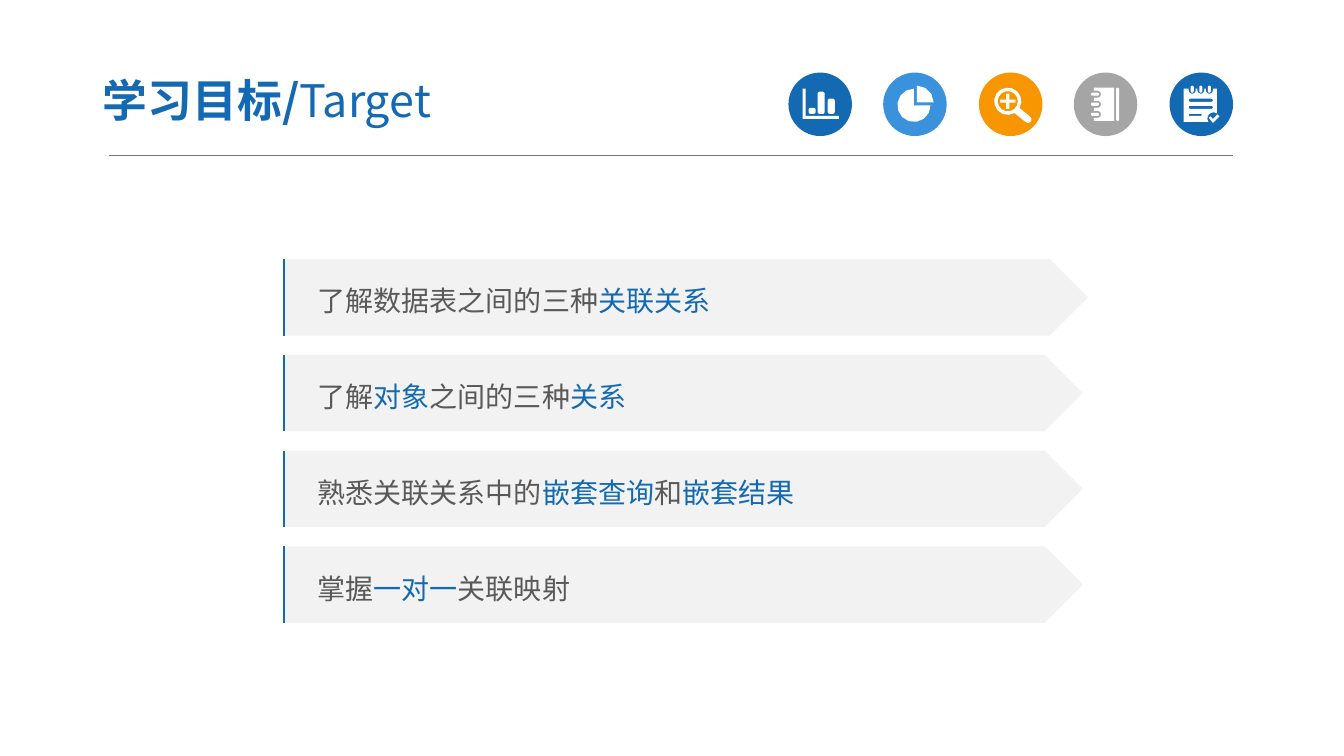
from math import cos, radians, sin

from lxml.etree import SubElement
from pptx import Presentation
from pptx.dml.color import RGBColor
from pptx.enum.shapes import MSO_CONNECTOR, MSO_SHAPE
from pptx.enum.text import MSO_ANCHOR, MSO_AUTO_SIZE, PP_ALIGN
from pptx.oxml.ns import qn
from pptx.util import Pt

PX = 9144
FONT = "Noto Sans CJK SC"
BLUE = RGBColor(0x13, 0x69, 0xB2)
SKY = RGBColor(0x39, 0x92, 0xDB)
ORANGE = RGBColor(0xF7, 0x96, 0x00)
SILVER = RGBColor(0xA5, 0xA5, 0xA5)
PALE = RGBColor(0xF2, 0xF2, 0xF2)
TEXT = RGBColor(0x59, 0x59, 0x59)
RULE = RGBColor(0x76, 0x76, 0x76)
WHITE = RGBColor(0xFF, 0xFF, 0xFF)


def arc(cx, cy, r, start, end):
    n = max(2, abs(end - start) // 25)
    angles = [radians(start + (end - start) * i / n) for i in range(n + 1)]
    return [(cx + r * cos(a), cy + r * sin(a)) for a in angles]


def pill(x, y, w, h):
    r = min(w, h, 4) / 2
    return (arc(x + r, y + r, r, 180, 270) + arc(x + w - r, y + r, r, 270, 360)
            + arc(x + w - r, y + h - r, r, 0, 90) + arc(x + r, y + h - r, r, 90, 180))


prs = Presentation()
prs.slide_width, prs.slide_height = 1333 * PX, 750 * PX
s = prs.slides.add_slide(prs.slide_layouts[5])
fills = []
texts = []

title = s.shapes.title
title.left, title.top, title.width, title.height = 89 * PX, 63 * PX, 522 * PX, 72 * PX
tf = title.text_frame
tf.auto_size = MSO_AUTO_SIZE.NONE
tf.vertical_anchor = MSO_ANCHOR.MIDDLE
tf.margin_left = tf.margin_right = 13 * PX
tf.margin_top = tf.margin_bottom = 7 * PX
texts.append((tf.paragraphs[0], 32, [("学习目标/", BLUE, True), ("Target", BLUE, False)]))

c = s.shapes.add_connector(MSO_CONNECTOR.STRAIGHT, 108 * PX, 154 * PX, 1223 * PX, 154 * PX)
c.line.color.rgb = RULE
c.line.width = Pt(0.5)
SubElement(c._element.spPr, qn("a:effectLst"))

bar_chart = [
    [(14, 16), (17, 16), (17, 43), (50, 43), (50, 46), (14, 46)],
    pill(20, 35, 7, 6), pill(29, 19, 7, 22), pill(39, 26, 7, 15),
]
pie_chart = [
    arc(30.5, 32.5, 16.5, 0, 270) + [(30.5, 32.5)],
    arc(33.5, 29.5, 16.5, -90, 0) + [(33.5, 29.5)],
]
magnifier = [
    arc(28.5, 28.5, 13.5, 60, 390) + arc(48.5, 46.5, 3.5, -45, 135),
    arc(28.5, 28.5, 10, 0, 360),
    [(27, 21), (30, 21), (30, 27), (36, 27), (36, 30), (30, 30),
     (30, 36), (27, 36), (27, 30), (21, 30), (21, 27), (27, 27)],
]
cover = [(20, 15), (40, 15), (40, 48), (20, 48)]
notebook = [cover, pill(42, 15, 3, 33)]
for y in (41.5, 31.5, 21.5):
    cover += [(20, y + 3.5)] + arc(23.5, y, 3.5, 90, -90) + [(20, y - 3.5)]
    notebook.append(pill(17, y - 1.5, 8, 3))
page = [(14, 16)]
notepad = [page, pill(19, 26, 24, 3), pill(19, 33, 24, 3), pill(19, 41, 13, 2)]
for x in (22.5, 31, 39.5):
    page += [(x - 3.5, 16)] + arc(x, 17.5, 3.5, 180, 0) + [(x + 3.5, 16)]
    notepad.append(pill(x - 1.5, 13, 3, 7))
page += [(47, 16)] + arc(43.5, 45.5, 6, -55, -215) + [(14, 49)]
notepad.append([(39, 45), (40.5, 43.5), (43, 46), (47.5, 41.5), (49.5, 43.5), (43, 50)])

icons = [(BLUE, bar_chart), (SKY, pie_chart), (ORANGE, magnifier),
         (SILVER, notebook), (BLUE, notepad)]
for i, (color, contours) in enumerate(icons):
    left = 782 + 189 * i // 2
    disc = s.shapes.add_shape(MSO_SHAPE.OVAL, left * PX, 72 * PX, 63 * PX, 63 * PX)
    fills.append((disc, color))
    fb = s.shapes.build_freeform()
    for n, contour in enumerate(contours):
        points = [((left + x) * PX, (72 + y) * PX) for x, y in contour]
        if n == 0:
            fb = s.shapes.build_freeform(*points[0])
        else:
            fb.move_to(*points[0])
        fb.add_line_segments(points[1:], close=True)
    fills.append((fb.convert_to_shape(), WHITE))

goals = [
    (798, [("了解数据表之间的三种", TEXT), ("关联关系", BLUE)]),
    (793, [("了解", TEXT), ("对象", BLUE), ("之间的三种", TEXT), ("关系", BLUE)]),
    (793, [("熟悉关联关系中的", TEXT), ("嵌套查询", BLUE), ("和", TEXT), ("嵌套结果", BLUE)]),
    (793, [("掌握", TEXT), ("一对一", BLUE), ("关联映射", TEXT)]),
]
for i, (width, runs) in enumerate(goals):
    top = 257 + 95 * i
    sp = s.shapes.add_shape(MSO_SHAPE.PENTAGON, 281 * PX, top * PX, width * PX, 76 * PX)
    fills.append((sp, PALE))
    tf = sp.text_frame
    tf.vertical_anchor = MSO_ANCHOR.MIDDLE
    tf.margin_left = 34 * PX
    p = tf.paragraphs[0]
    p.line_spacing = 1.2
    texts.append((p, 20, [(text, color, False) for text, color in runs]))

    fb = s.shapes.build_freeform(282 * PX, (top + 76) * PX)
    fb.add_line_segments([(282 * PX, top * PX)], close=False)
    edge = fb.convert_to_shape()
    edge.shadow.inherit = False
    edge.fill.background()
    edge.line.color.rgb = BLUE
    edge.line.width = Pt(1.5)

for sp, color in fills:
    sp.shadow.inherit = False
    sp.fill.solid()
    sp.fill.fore_color.rgb = color
    sp.line.fill.background()

for p, size, runs in texts:
    p.alignment = PP_ALIGN.LEFT
    for text, color, bold in runs:
        r = p.add_run()
        r.text = text
        r.font.size, r.font.bold, r.font.name = Pt(size), bold, FONT
        r.font.color.rgb = color
        SubElement(r._r.get_or_add_rPr(), qn("a:ea")).set("typeface", FONT)

prs.save("out.pptx")
